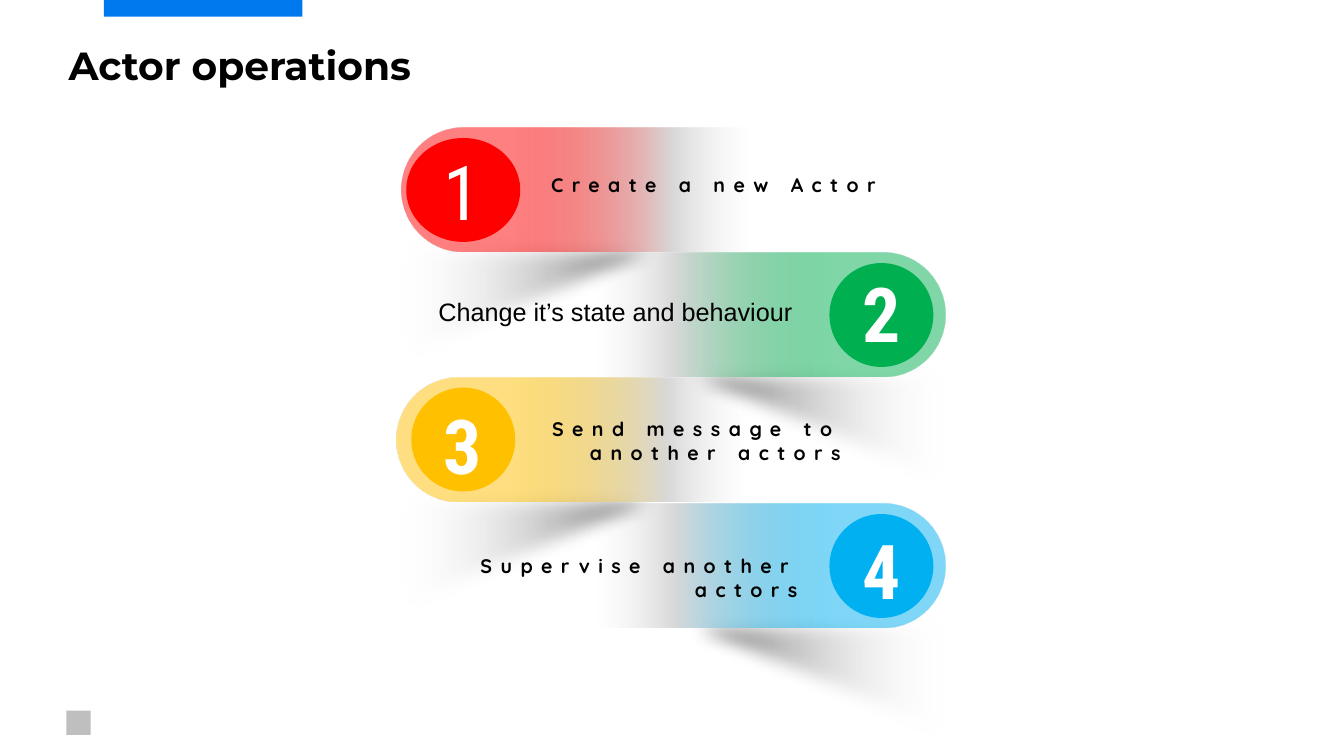
import dataclasses

import lxml.etree
import pptx
import pptx.dml.color
import pptx.enum.shapes
import pptx.enum.text
import pptx.oxml
import pptx.oxml.ns
import pptx.util

Pt = pptx.util.Pt
SHAPES = pptx.enum.shapes.MSO_SHAPE
ALIGN = pptx.enum.text.PP_ALIGN
qn = pptx.oxml.ns.qn

HUES = {
    "red": "FF0000", "green": "00B050", "gold": "FFC000", "sky": "00B0F0",
    "blue": "0079EF", "gray": "BFBFBF", "fold": "D9D9D9", "pale": "F0F0F0",
    "white": "FFFFFF", "black": "000000",
}

BAR_W, BAR_H = 248.4, 88.6
WEDGE_W, WEDGE_H, WEDGE_DROP = 254.9, 103, 32.8
DISC = 74.2


@dataclasses.dataclass
class Side:
    """What all bands on one side share."""
    turn: int
    wedge: float
    flip: bool
    disc: float
    digit: float


@dataclasses.dataclass
class Step:
    digit: str
    words: str
    hue: str
    side: Side
    bar: float          # centre of the bar, across
    mid: float          # centre of the bar, down
    top: float          # top of the digit box
    box: tuple[float, float, float, float]
    disc_w: float = DISC
    bold: bool = True
    size: float = 14
    font: str = "Quicksand"
    gap: float = 6
    align: int = ALIGN.RIGHT


LEFT = Side(turn=270, wedge=280, flip=False, disc=330.9, digit=310)
RIGHT = Side(turn=90, wedge=427, flip=True, disc=629.6, digit=609.1)

STEPS = [
    Step("1", "Create a new Actor", "red", LEFT, 411, 135.7, 100,
         (386.6, 120.2, 279.4, 24.5), disc_w=81.4, bold=False, align=ALIGN.LEFT),
    Step("2", "Change it’s state and behaviour", "green", RIGHT, 551.2, 225, 187.2,
         (270, 208, 303.1, 28.8), size=18, font="Arial", gap=0),
    Step("3", "Send message to another actors", "gold", LEFT, 407.2, 314, 281.5,
         (289.4, 294.5, 318.2, 41)),
    Step("4", "Supervise another actors", "sky", RIGHT, 551.2, 404.3, 370.8,
         (280, 392.4, 296.7, 41)),
]


def tint(hue: str) -> pptx.dml.color.RGBColor:
    return pptx.dml.color.RGBColor.from_string(HUES[hue])


def add_shape(slide, kind: int, x: float, y: float, w: float, h: float, hue: str):
    shape = slide.shapes.add_shape(kind, Pt(x), Pt(y), Pt(w), Pt(h))
    shape.shadow.inherit = False
    shape.fill.solid()
    shape.fill.fore_color.rgb = tint(hue)
    shape.line.fill.background()
    return shape


def fade(shape, stops: list[tuple[int, str, int]], turn: int) -> None:
    """Swap the plain fill for stops of (place, hue, percent solid)."""
    grad = lxml.etree.Element(qn("a:gradFill"), rotWithShape="1")
    chain = lxml.etree.SubElement(grad, qn("a:gsLst"))
    for place, hue, solid in stops:
        stop = lxml.etree.SubElement(chain, qn("a:gs"), pos=str(place * 1000))
        shade = lxml.etree.SubElement(stop, qn("a:srgbClr"), val=HUES[hue])
        lxml.etree.SubElement(shade, qn("a:alpha"), val=str(solid * 1000))
    lxml.etree.SubElement(grad, qn("a:lin"), ang=str(turn * 60000), scaled="0")
    props = shape._element.spPr
    props.replace(props.find(qn("a:solidFill")), grad)


def write(shape, text: str, *, size: float, font: str, hue: str = "black",
          bold: bool = False, gap: float = 0, align: int = ALIGN.LEFT) -> None:
    frame = shape.text_frame
    frame.word_wrap = True
    frame.auto_size = pptx.enum.text.MSO_AUTO_SIZE.NONE
    frame.vertical_anchor = pptx.enum.text.MSO_ANCHOR.TOP
    line = frame.paragraphs[0]
    line.alignment = align
    run = line.add_run()
    run.text = text
    run.font.size = Pt(size)
    run.font.name = font
    run.font.bold = bold
    run.font.color.rgb = tint(hue)
    if gap:
        run._r.get_or_add_rPr().set("spc", str(round(gap * 100)))


def add_text(slide, box: tuple[float, float, float, float], text: str, **form) -> None:
    write(slide.shapes.add_textbox(*map(Pt, box)), text, **form)


def add_band(slide, step: Step) -> None:
    side = step.side
    # Soft wedge cast below the bar
    wedge = add_shape(slide, SHAPES.RIGHT_TRIANGLE, side.wedge,
                      step.mid + WEDGE_DROP, WEDGE_W, WEDGE_H, "black")
    fade(wedge, [(0, "white", 0), (95, "black", 100)], 0)
    props = wedge._element.spPr
    props.xfrm.set("flipV", "1")
    if side.flip:
        props.xfrm.set("flipH", "1")
    lxml.etree.SubElement(props.find(qn("a:effectLst")), qn("a:softEdge"),
                          rad=str(Pt(12.5)))
    # Bar, drawn upright and then turned
    bar = add_shape(slide, SHAPES.ROUND_2_SAME_RECTANGLE, step.bar - BAR_H / 2,
                    step.mid - BAR_W / 2, BAR_H, BAR_W, step.hue)
    bar.adjustments[0] = 0.5
    bar.adjustments[1] = 0
    bar.rotation = side.turn
    fade(bar, [(33, step.hue, 50), (78, "fold", 100), (100, "pale", 0)], 90)


def add_label(slide, step: Step) -> None:
    add_shape(slide, SHAPES.OVAL, step.side.disc - step.disc_w / 2,
              step.mid - DISC / 2, step.disc_w, DISC, step.hue)
    add_text(slide, step.box, step.words, size=step.size, font=step.font,
             bold=step.font == "Quicksand", gap=step.gap, align=step.align)
    add_text(slide, (step.side.digit, step.top, 39.6, 72.7), step.digit, size=54,
             font="Roboto Condensed", hue="white", bold=step.bold, gap=3)


def main() -> None:
    deck = pptx.Presentation()
    deck.slide_width, deck.slide_height = Pt(960), Pt(540)
    slide = deck.slides.add_slide(deck.slide_layouts[5])

    # Title, top tab and plain mark in the corner
    title = slide.shapes.title
    title.left, title.top, title.width, title.height = map(Pt, (41.8, 25.9, 671.8, 41))
    write(title, "Actor operations", size=28, font="Montserrat", bold=True)
    add_shape(slide, SHAPES.RECTANGLE, 74.2, 0, 141.8, 12, "blue")
    add_shape(slide, SHAPES.RECTANGLE, 47.5, 507.6, 17.3, 17.3, "gray")

    # Bands, lowest first so that each bar covers the wedge below it
    for step in reversed(STEPS):
        add_band(slide, step)

    # Discs, digits and words
    for step in STEPS:
        add_label(slide, step)

    deck.save("out.pptx")


if __name__ == "__main__":
    main()
